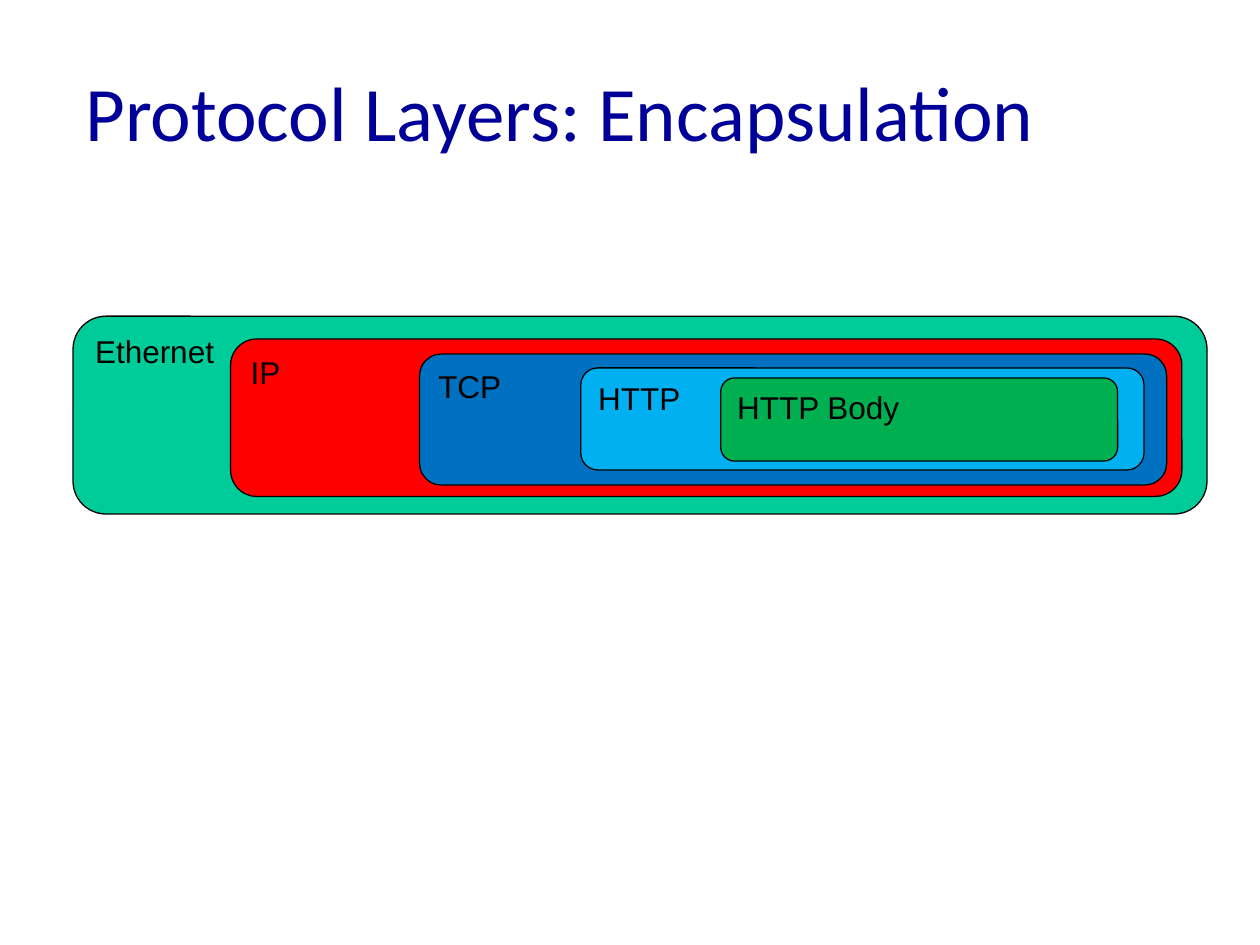
from pptx import Presentation
from pptx.dml.color import RGBColor
from pptx.enum.shapes import MSO_SHAPE as Shape
from pptx.enum.text import MSO_ANCHOR as Anchor, PP_ALIGN as Align
from pptx.util import Inches, Pt

COLORS = {
    "title": "000099",
    "ink": "000000",
    "ethernet": "00CC99",
    "ip": "FF0000",
    "tcp": "0070C0",
    "http": "00B0F0",
    "body": "00B050",
}

# Outermost first: label, colour, left, top, width, height
LAYERS = [
    ("Ethernet", "ethernet", 0.58, 2.51, 9, 1.57),
    ("IP", "ip", 1.83, 2.69, 7.55, 1.25),
    ("TCP", "tcp", 3.33, 2.81, 5.93, 1.04),
    ("HTTP", "http", 4.61, 2.92, 4.47, 0.81),
    ("HTTP Body", "body", 5.72, 3, 3.15, 0.66),
]


def rgb(name):
    return RGBColor.from_string(COLORS[name])


def write(frame, text, *, size, font, color="ink", anchor=Anchor.TOP, wrap=False):
    frame.word_wrap = wrap
    frame.vertical_anchor = anchor
    paragraph = frame.paragraphs[0]
    paragraph.alignment = Align.LEFT
    run = paragraph.add_run()
    run.text = text
    run.font.size = Pt(size)
    run.font.name = font
    run.font.color.rgb = rgb(color)


def add_title(slide, text):
    title = slide.shapes.add_textbox(
        Inches(0.58), Inches(0.25), Inches(8.5), Inches(1.25))
    write(title.text_frame, text, size=44, font="Calibri", color="title",
          anchor=Anchor.MIDDLE, wrap=True)


def add_layer(slide, label, color, *box):
    layer = slide.shapes.add_shape(
        Shape.ROUNDED_RECTANGLE, *(Inches(length) for length in box))
    layer.shadow.inherit = False
    layer.fill.solid()
    layer.fill.fore_color.rgb = rgb(color)
    layer.line.color.rgb = rgb("ink")
    layer.line.width = Pt(0.75)
    write(layer.text_frame, label, size=18, font="Arial")


def main():
    deck = Presentation()
    deck.slide_width, deck.slide_height = Inches(10), Inches(7.5)
    slide = deck.slides.add_slide(deck.slide_layouts[6])
    add_title(slide, "Protocol Layers: Encapsulation")
    for layer in LAYERS:
        add_layer(slide, *layer)
    deck.save("out.pptx")


if __name__ == "__main__":
    main()
